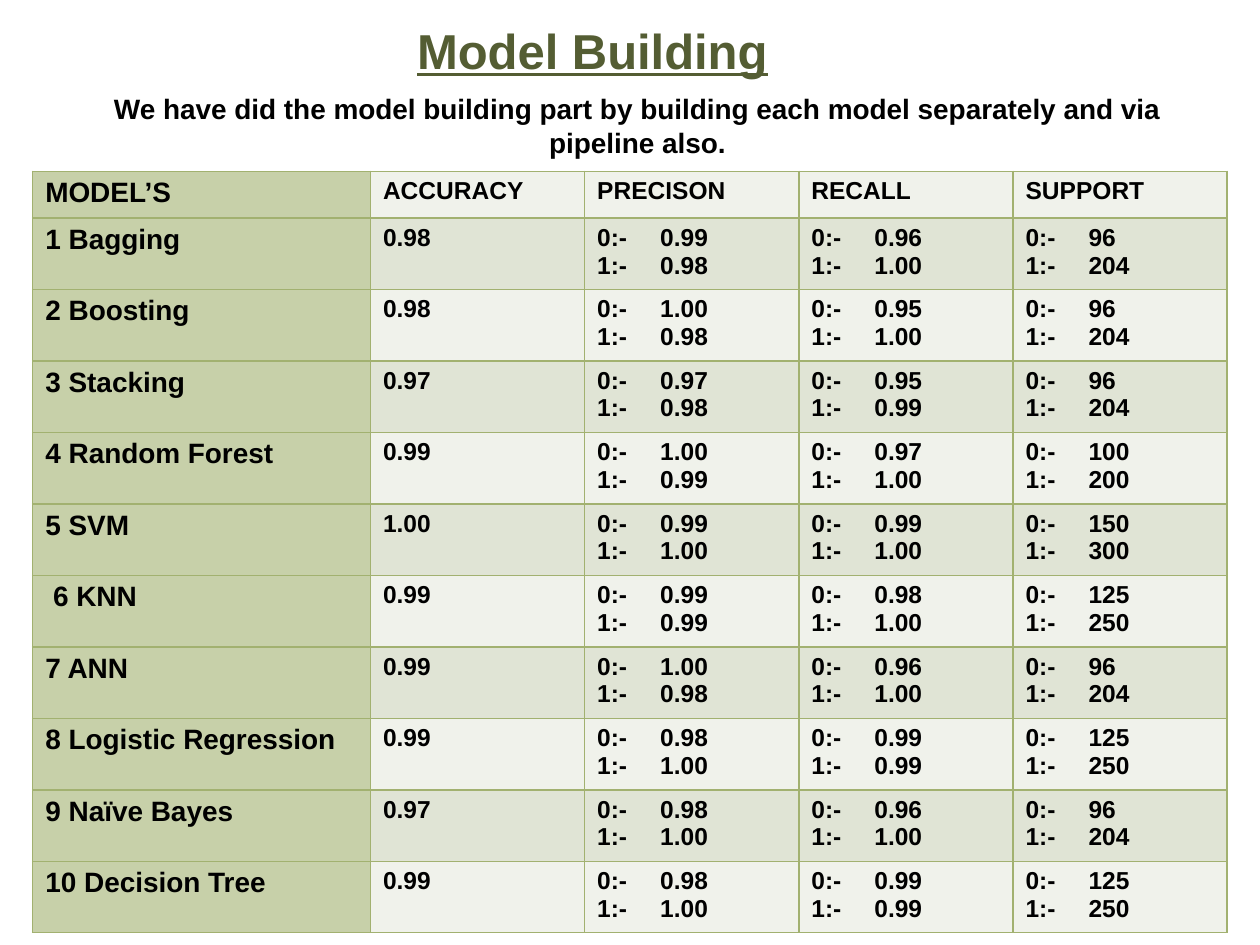
from lxml import etree
from pptx import Presentation
from pptx import util as u
from pptx.dml.color import RGBColor
from pptx.enum import text
from pptx.oxml import ns

OLIVE = RGBColor(0x54, 0x5D, 0x33)
BLACK = RGBColor(0x00, 0x00, 0x00)
BORDER = RGBColor(0xA2, 0xB1, 0x70)
MODEL_FILL = RGBColor(0xC7, 0xD0, 0xA9)
BANDS = (RGBColor(0xF0, 0xF2, 0xEB), RGBColor(0xE0, 0xE4, 0xD5))

HEADINGS = ("MODEL’S", "ACCURACY", "PRECISON", "RECALL", "SUPPORT")
# Model, accuracy, then a (class 0, class 1) pair for precision, recall, support
SCORES = [
    ("1 Bagging", "0.98", ("0.99", "0.98"), ("0.96", "1.00"), ("96", "204")),
    ("2 Boosting", "0.98", ("1.00", "0.98"), ("0.95", "1.00"), ("96", "204")),
    ("3 Stacking", "0.97", ("0.97", "0.98"), ("0.95", "0.99"), ("96", "204")),
    ("4 Random Forest", "0.99", ("1.00", "0.99"), ("0.97", "1.00"), ("100", "200")),
    ("5 SVM", "1.00", ("0.99", "1.00"), ("0.99", "1.00"), ("150", "300")),
    (" 6 KNN", "0.99", ("0.99", "0.99"), ("0.98", "1.00"), ("125", "250")),
    ("7 ANN", "0.99", ("1.00", "0.98"), ("0.96", "1.00"), ("96", "204")),
    ("8 Logistic Regression", "0.99", ("0.98", "1.00"), ("0.99", "0.99"), ("125", "250")),
    ("9 Naïve Bayes", "0.97", ("0.98", "1.00"), ("0.96", "1.00"), ("96", "204")),
    ("10 Decision Tree", "0.99", ("0.98", "1.00"), ("0.99", "0.99"), ("125", "250")),
]


class Deck:
    """Style and current slide; lengths are in a grid of 100 columns by 75 rows."""

    FONT = "Arial"
    COLUMNS = 100

    def __init__(self, width, height):
        self.deck = Presentation()
        self.deck.slide_width, self.deck.slide_height = u.Inches(width), u.Inches(height)
        self.unit = self.deck.slide_width / self.COLUMNS
        self.slide = self.deck.slides.add_slide(self.deck.slide_layouts[5])

    def grid(self, *lengths):
        return [round(length * self.unit) for length in lengths]

    def set_text(self, frame, lines, size, color=BLACK, align=text.PP_ALIGN.LEFT, underline=False):
        frame.text = "\n".join(lines)
        for line in frame.paragraphs:
            line.alignment = align
            font = line.font
            font.name, font.size, font.bold = self.FONT, u.Pt(size), True
            font.underline = underline
            font.color.rgb = color

    def title(self, words, box, size):
        heading = self.slide.shapes.title
        heading.left, heading.top, heading.width, heading.height = self.grid(*box)
        frame = heading.text_frame
        frame.auto_size = text.MSO_AUTO_SIZE.NONE
        frame.vertical_anchor = text.MSO_ANCHOR.TOP
        self.set_text(frame, [words], size, OLIVE, underline=True)

    def caption(self, words, box, size):
        frame = self.slide.shapes.add_textbox(*self.grid(*box)).text_frame
        frame.word_wrap = True
        self.set_text(frame, [words], size, align=text.PP_ALIGN.CENTER)

    def table(self, box, widths, heights):
        table = self.slide.shapes.add_table(len(heights), len(widths), *self.grid(*box)).table
        table.first_row = table.horz_banding = False
        for column, width in zip(table.columns, self.grid(*widths)):
            column.width = width
        for row, height in zip(table.rows, self.grid(*heights)):
            row.height = height
        return table

    def cell(self, cell, lines, size, fill):
        cell.fill.solid()
        cell.fill.fore_color.rgb = fill
        self.set_text(cell.text_frame, lines, size)
        # Borders come before the fill in the cell properties
        properties = cell._tc.get_or_add_tcPr()
        for place, side in enumerate(("a:lnL", "a:lnR", "a:lnT", "a:lnB")):
            line = etree.Element(ns.qn(side), w=str(u.Pt(1)))
            solid = etree.SubElement(line, ns.qn("a:solidFill"))
            etree.SubElement(solid, ns.qn("a:srgbClr"), val=str(BORDER))
            properties.insert(place, line)

    def tab_stop(self, frame, position):
        for line in frame.paragraphs:
            properties = line._p.get_or_add_pPr()
            stops = etree.SubElement(properties, ns.qn("a:tabLst"))
            etree.SubElement(stops, ns.qn("a:tab"), pos=str(self.grid(position)[0]), algn="l")
            # Tab stops precede the default run properties
            defaults = properties.find(ns.qn("a:defRPr"))
            if defaults is not None:
                defaults.addprevious(stops)


page = Deck(10, 7.5)

# Heading and introduction
page.title("Model Building", (32.1, 1.1, 35.8, 5.7), 28)
page.caption("We have did the model building part by building each model "
             "separately and via pipeline also.", (3.8, 6.8, 93.6, 6.4), 16)

# Model scores
TABLE_HEIGHT, HEADING_HEIGHT = 60.3, 3.7
score_height = (TABLE_HEIGHT - HEADING_HEIGHT) / len(SCORES)
scores = page.table((2.6, 13.6, 94.8, TABLE_HEIGHT), [26.8] + [17] * 4,
                    [HEADING_HEIGHT] + [score_height] * len(SCORES))
for r, record in enumerate([HEADINGS] + SCORES):
    for c, entry in enumerate(record):
        by_class = isinstance(entry, tuple)
        lines = [f"{k}:-\t{value}" for k, value in enumerate(entry)] if by_class else [entry]
        size, fill = (14, BANDS[r % 2]) if c else (16, MODEL_FILL)
        target = scores.cell(r, c)
        page.cell(target, lines, size, fill)
        if by_class:
            page.tab_stop(target.text_frame, 5)

page.deck.save("out.pptx")
